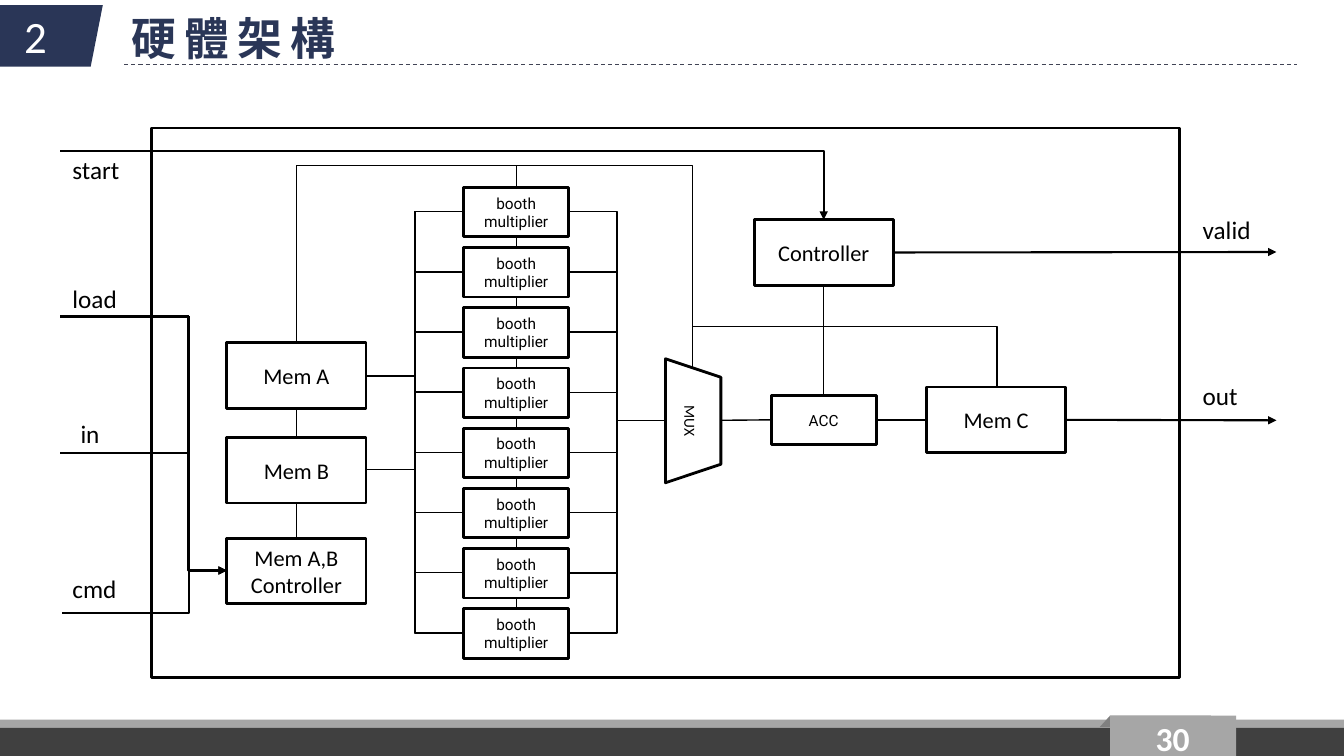
from lxml import etree
from pptx import Presentation, util as u
from pptx.dml.color import RGBColor
from pptx.enum import dml, shapes, text
from pptx.oxml import ns

RECT = shapes.MSO_SHAPE.RECTANGLE
LINE = shapes.MSO_CONNECTOR.STRAIGHT
ELBOW = shapes.MSO_CONNECTOR.ELBOW
TOP, LEFT, BOTTOM, RIGHT = range(4)
NAVY, BLACK, WHITE = "2A3657", "000000", "FFFFFF"


def rgb(value):
    return RGBColor.from_string(value)


def write(shape, content, size=16, font="Calibri", color=BLACK, bold=False,
          align=text.PP_ALIGN.CENTER, anchor=text.MSO_ANCHOR.MIDDLE,
          wrap=True, spacing=0):
    tf = shape.text_frame
    tf.word_wrap = wrap
    tf.vertical_anchor = anchor
    for i, words in enumerate(content.split("\n")):
        p = tf.paragraphs[0] if i == 0 else tf.add_paragraph()
        p.alignment = align
        r = p.add_run()
        r.text = words
        r.font.size, r.font.name, r.font.bold = u.Pt(size), font, bold
        r.font.color.rgb = rgb(color)
        rpr = r.font._element
        if spacing:
            rpr.set("spc", str(spacing * 100))
        etree.SubElement(rpr, ns.qn("a:ea")).set("typeface", font)


def paint(sp, fill, line=None):
    sp.shadow.inherit = False
    sp.fill.solid()
    sp.fill.fore_color.rgb = rgb(fill)
    if line:
        sp.line.color.rgb = rgb(line)
        sp.line.width = u.Pt(2)
    else:
        sp.line.fill.background()
    return sp


def shape(s, at, fill=WHITE, line=None, kind=RECT):
    return paint(s.shapes.add_shape(kind, *map(u.Inches, at)), fill, line)


def polygon(s, points, fill):
    corners = [(u.Inches(x), u.Inches(y)) for x, y in points]
    fb = s.shapes.build_freeform(*corners[0])
    fb.add_line_segments(corners[1:], close=True)
    return paint(fb.convert_to_shape(), fill)


def block(s, x, y, label):
    sp = shape(s, (x, y, 1.38, 0.65), line=BLACK)
    write(sp, label)
    return sp


def small_block(s, x, y, label):
    sp = shape(s, (x, y, 1.04, 0.49), line=BLACK)
    write(sp, label, size=11, font="Roboto")
    return sp


def label(s, at, content, **fmt):
    tb = s.shapes.add_textbox(*map(u.Inches, at))
    fmt = {"align": text.PP_ALIGN.LEFT, "anchor": text.MSO_ANCHOR.TOP, **fmt}
    write(tb, content, **fmt)
    return tb


def wire(s, start=(0, 0), end=(0, 0), kind=LINE, begin_at=None, end_at=None,
         width=1, color=BLACK, arrow=None):
    """Draw a line; begin_at and end_at are (shape, side) joints."""
    c = s.shapes.add_connector(kind, *map(u.Inches, (*start, *end)))
    if begin_at:
        c.begin_connect(*begin_at)
    if end_at:
        c.end_connect(*end_at)
    c.line.color.rgb = rgb(color)
    c.line.width = u.Pt(width)
    if arrow:
        ln = c.line._get_or_add_ln()
        etree.SubElement(ln, ns.qn("a:" + arrow)).set("type", "triangle")
    etree.SubElement(c._element.spPr, ns.qn("a:effectLst"))
    return c


def corner(s, start, end, **fmt):
    """Run horizontally from start, then vertically to end."""
    c = wire(s, start, end, kind=ELBOW, **fmt)
    c._element.spPr.find(ns.qn("a:prstGeom")).set("prst", "bentConnector2")
    return c


def frame(s):
    shape(s, (0, 7.14, 13.33, 0.36), "A6A6A6")
    shape(s, (0, 7.22, 13.33, 0.28), "404040")
    polygon(s, [(-0.42, 0.05), (1.02, 0.05), (0.9, 0.66), (-0.42, 0.66)], NAVY)
    rule = wire(s, (1.23, 0.64), (12.86, 0.64), width=0.75, color="414455")
    rule.line.dash_style = dml.MSO_LINE.DASH
    polygon(s, [(11.01, 7.1), (12.01, 7.1), (12.02, 7.22), (10.91, 7.21)],
            "808080")
    shape(s, (11.01, 7.1, 1.25, 0.4), "A6A6A6")
    label(s, (11.28, 7.12, 0.7, 0.4), "30", size=24, color=WHITE, bold=True,
          align=text.PP_ALIGN.CENTER, anchor=text.MSO_ANCHOR.MIDDLE)
    title = label(s, (1.23, 0.07, 5.83, 0.61), "硬體架構", size=32,
                  font="Noto Sans CJK SC", color=NAVY, bold=True, spacing=6)
    tf = title.text_frame
    tf.margin_left = tf.margin_right = u.Inches(0.07)
    tf.margin_top = tf.margin_bottom = u.Inches(0.04)
    label(s, (0.14, 0.04, 0.46, 0.64), "2", size=32, color=WHITE)


def diagram(s):
    # Blocks
    shape(s, (1.5, 1.27, 10.2, 5.45), line=BLACK)
    mem_a = block(s, 2.25, 3.4, "Mem A")
    mem_b = block(s, 2.25, 4.34, "Mem B")
    mem_ctrl = block(s, 2.25, 5.34, "Mem A,B\nController")
    mem_c = block(s, 9.19, 3.84, "Mem C")
    controller = block(s, 7.48, 2.18, "Controller")
    acc = small_block(s, 7.65, 3.92, "ACC")
    mux = shape(s, (6.26, 3.9, 1.23, 0.55), line=BLACK,
                kind=shapes.MSO_SHAPE.TRAPEZOID)
    mux.adjustments[0] = 0.334
    mux.rotation = 90
    write(mux, "MUX", size=11)

    # Multiplier column, fed by both memories and gathered by the MUX
    tops = [1.86 + i * (6.04 - 1.86) / 7 for i in range(8)]
    multipliers = [small_block(s, 4.6, y, "booth multiplier") for y in tops]
    for y in tops:
        mid = y + 0.24
        for mem_y in (3.73, 4.66):
            wire(s, (3.63, mem_y), (4.6, mid), kind=ELBOW)
        wire(s, (5.64, mid), (6.6, 4.17), kind=ELBOW)

    # Straight links between blocks
    chain = list(zip(multipliers, multipliers[1:]))
    for upper, lower in chain + [(mem_a, mem_b), (mem_b, mem_ctrl),
                                 (controller, acc)]:
        wire(s, begin_at=(upper, BOTTOM), end_at=(lower, TOP))
    wire(s, begin_at=(acc, RIGHT), end_at=(mem_c, LEFT))
    wire(s, start=(7.15, 4.17), end_at=(acc, LEFT))

    # Control bus
    for block_top in (mem_a, multipliers[0]):
        x = 2.94 if block_top is mem_a else 5.12
        wire(s, start=(x, 1.64), end_at=(block_top, TOP))
    corner(s, (2.94, 1.64), (6.87, 3.65))
    corner(s, (8.17, 3.24), (6.87, 3.65))
    corner(s, (8.17, 3.24), (9.89, 3.84))

    # Input and output signals
    corner(s, (0.6, 1.5), (8.17, 2.18), width=1.5, arrow="tailEnd")
    corner(s, (2.25, 5.66), (1.87, 3.14), width=1.5, arrow="headEnd")
    cmd = wire(s, (0.62, 6.08), (2.25, 5.66), kind=ELBOW, width=1.5,
               arrow="tailEnd")
    bend = etree.SubElement(cmd._element.spPr.find(".//" + ns.qn("a:avLst")),
                            ns.qn("a:gd"))
    bend.set("name", "adj1")
    bend.set("fmla", "val 77100")
    for y in (3.14, 4.49):
        wire(s, (1.87, y), (0.6, y), width=1.5)
    for source, y in ((controller, 2.5), (mem_c, 4.17)):
        wire(s, end=(12.66, y), begin_at=(source, RIGHT), width=1.5,
             arrow="tailEnd")
    for name, x, y, w in (("start", 0.62, 1.48, 0.67),
                          ("load", 0.62, 2.76, 0.65),
                          ("in", 0.7, 4.1, 0.39),
                          ("cmd", 0.62, 5.64, 0.64),
                          ("valid", 11.83, 2.08, 0.68),
                          ("out", 11.83, 3.72, 0.55)):
        label(s, (x, y, w, 0.4), name, size=18, wrap=False)


def main():
    prs = Presentation()
    prs.slide_width, prs.slide_height = u.Inches(13.33), u.Inches(7.5)
    s = prs.slides.add_slide(prs.slide_layouts[6])
    frame(s)
    diagram(s)
    prs.save("out.pptx")


if __name__ == "__main__":
    main()
